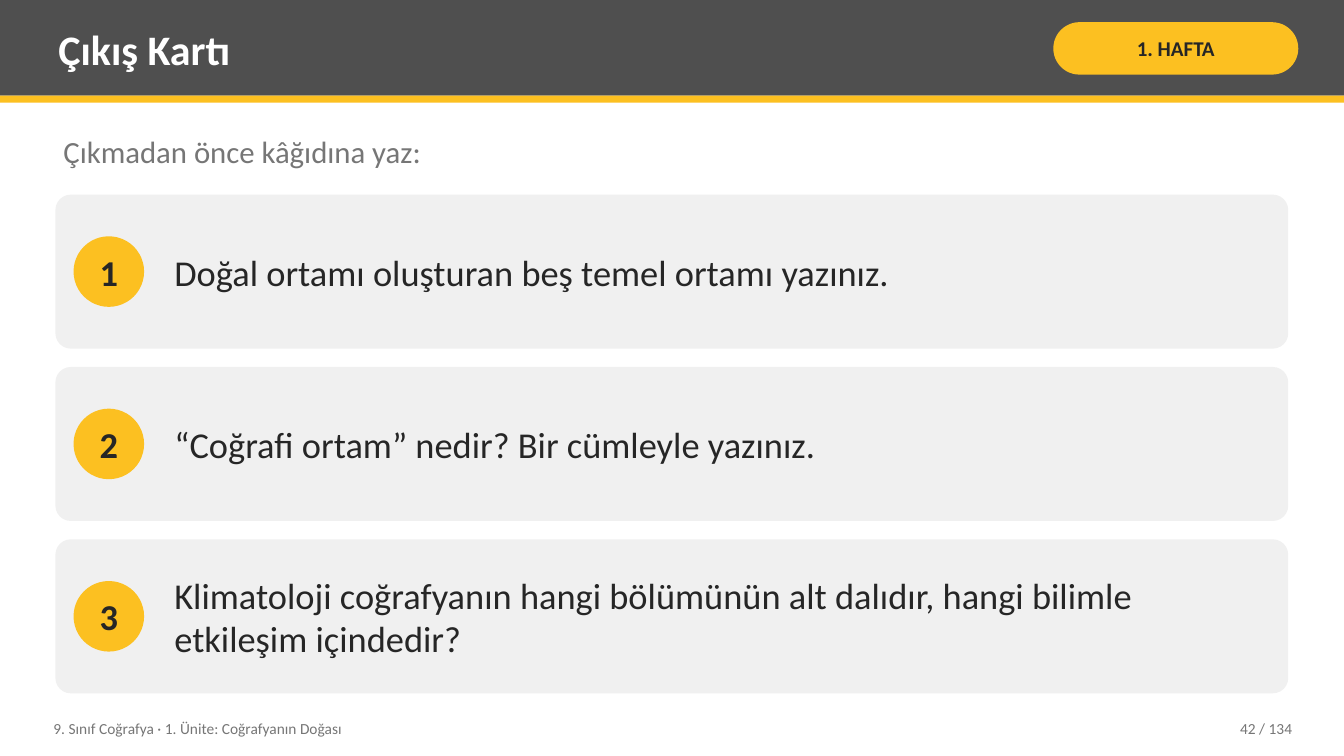
"""Build the exit card slide of a geography lesson."""
from pptx import Presentation
from pptx.dml.color import RGBColor
from pptx.enum.shapes import MSO_SHAPE
from pptx.enum.text import MSO_ANCHOR, PP_ALIGN
from pptx.util import Pt

QUESTIONS = [
    "Doğal ortamı oluşturan beş temel ortamı yazınız.",
    "“Coğrafi ortam” nedir? Bir cümleyle yazınız.",
    "Klimatoloji coğrafyanın hangi bölümünün alt dalıdır, hangi bilimle etkileşim içindedir?",
]


def color(value):
    return RGBColor.from_string(value)


class SlideBuilder:
    font_name = "Calibri"
    yellow = "FCC021"
    header_gray = "4F4F4F"
    card_gray = "F0F0F0"
    muted = "767676"
    dark = "262626"
    white = "FFFFFF"
    text_margins = (5.76, 2.88)

    def __init__(self, slide):
        self.slide = slide

    def shape(self, kind, box, fill, corner=None):
        shape = self.slide.shapes.add_shape(kind, *map(Pt, box))
        shape.shadow.inherit = False
        shape.fill.solid()
        shape.fill.fore_color.rgb = color(fill)
        shape.line.fill.background()
        if corner is not None:
            shape.adjustments[0] = corner
        return shape

    def label(self, shape, text, size, ink, bold=False, align=PP_ALIGN.LEFT,
              anchor=MSO_ANCHOR.MIDDLE, margins=text_margins, wrap=True):
        frame = shape.text_frame
        frame.word_wrap = wrap
        frame.vertical_anchor = anchor
        frame.margin_left = frame.margin_right = Pt(margins[0])
        frame.margin_top = frame.margin_bottom = Pt(margins[1])
        paragraph = frame.paragraphs[0]
        paragraph.alignment = align
        run = paragraph.add_run()
        run.text = text
        run.font.name = self.font_name
        run.font.size = Pt(size)
        run.font.bold = bold
        run.font.color.rgb = color(ink)

    def text(self, box, text, size, ink, **options):
        self.label(self.slide.shapes.add_textbox(*map(Pt, box)), text, size, ink, **options)

    def header(self, title, week):
        self.shape(MSO_SHAPE.RECTANGLE, (0, 0, 960, 68.4), self.header_gray)
        self.shape(MSO_SHAPE.RECTANGLE, (0, 68.4, 960, 5), self.yellow)
        self.text((36, 5, 702, 59), title, 30, self.white, bold=True)
        badge = self.shape(MSO_SHAPE.ROUNDED_RECTANGLE, (752.4, 15.84, 175, 37.44),
                           self.yellow, 0.5)
        self.label(badge, week, 15, self.dark, bold=True, align=PP_ALIGN.CENTER,
                   margins=(3.6, 1.44))

    def question_card(self, number, question, top, height):
        self.shape(MSO_SHAPE.ROUNDED_RECTANGLE, (39.6, top, 880.6, height), self.card_gray, 0.1)
        diameter = 50.4
        circle = self.shape(MSO_SHAPE.OVAL,
                            (52.56, top + (height - diameter) / 2, diameter, diameter),
                            self.yellow)
        self.label(circle, str(number), 26, self.dark, bold=True, align=PP_ALIGN.CENTER,
                   margins=(0, 0), wrap=False)
        self.text((118.8, top, 787, height), question, 26, self.dark)

    def footer(self, unit, page):
        self.text((32.4, 507, 547, 26), unit, 11, self.muted)
        self.text((813.6, 507, 115.2, 26), page, 11, self.muted, align=PP_ALIGN.RIGHT)


def main():
    presentation = Presentation()
    presentation.slide_width = Pt(960)
    presentation.slide_height = Pt(540)
    builder = SlideBuilder(presentation.slides.add_slide(presentation.slide_layouts[6]))
    builder.header("Çıkış Kartı", "1. HAFTA")
    builder.text((39.6, 92.16, 880.6, 39.6), "Çıkmadan önce kâğıdına yaz:", 22,
                 builder.muted, anchor=MSO_ANCHOR.TOP)
    for index, question in enumerate(QUESTIONS):
        builder.question_card(index + 1, question, 139 + index * 123.12, 110)
    builder.footer("9. Sınıf Coğrafya · 1. Ünite: Coğrafyanın Doğası", "42 / 134")
    presentation.save("out.pptx")


if __name__ == "__main__":
    main()
